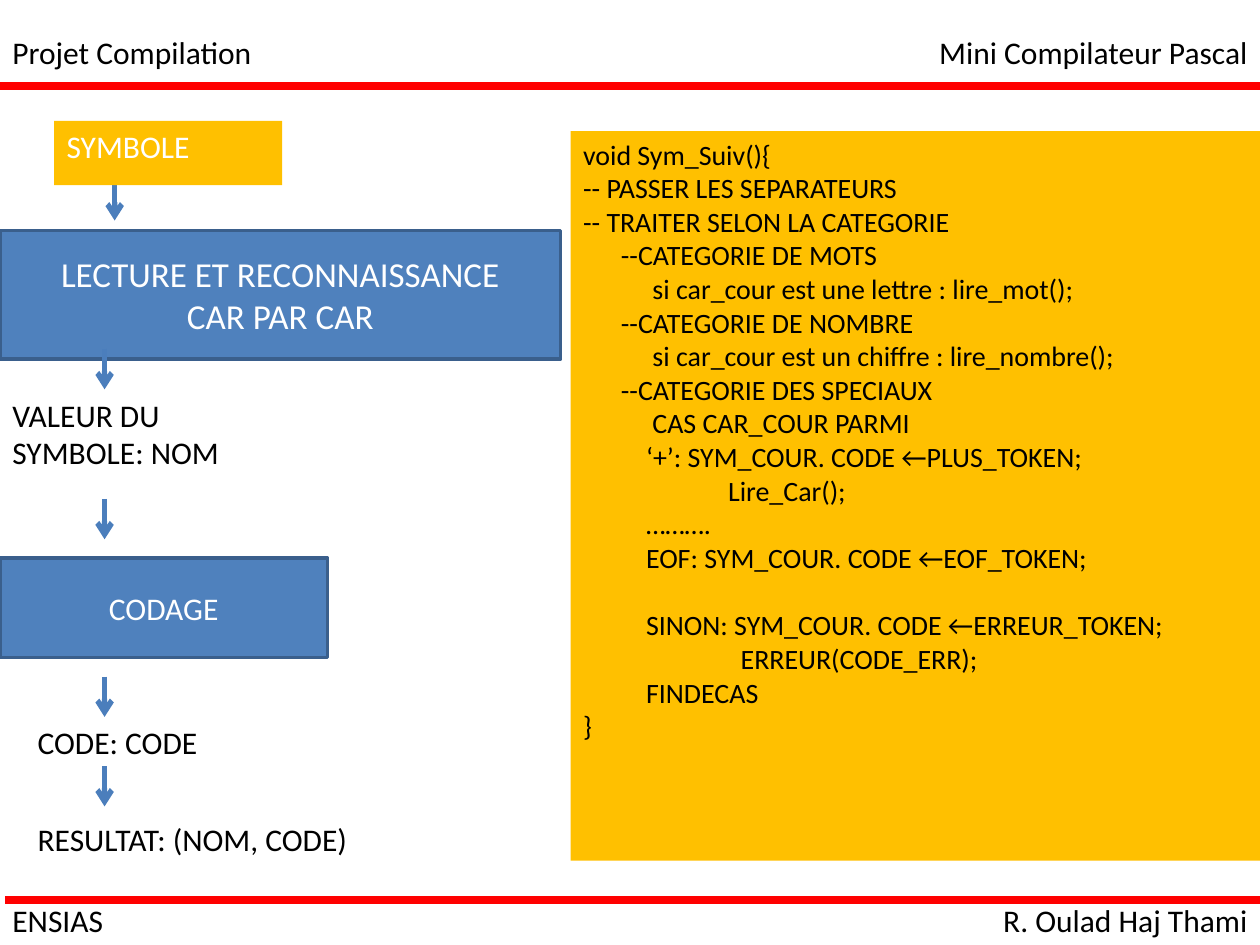
from pptx import Presentation
from pptx.util import Inches, Pt
from pptx.dml.color import RGBColor
from pptx.enum.shapes import MSO_SHAPE as Shape, MSO_CONNECTOR as Link
from pptx.enum.text import PP_ALIGN as Align, MSO_ANCHOR as Anchor
from pptx.oxml.ns import qn
from lxml.etree import SubElement

BLACK = RGBColor(0, 0, 0)
WHITE = RGBColor(255, 255, 255)
RED = RGBColor(255, 0, 0)
GOLD = RGBColor(0xFF, 0xC0, 0x00)
BLUE = RGBColor(0x4F, 0x81, 0xBD)
EDGE = RGBColor(0x3A, 0x5F, 0x8C)
ARROW = RGBColor(0x4B, 0x7E, 0xBC)

WIDE, HIGH = 10, 7.5
ROW = 0.4
DROP = 0.32

HEAD = [("Projet Compilation", 2.12), ("Mini Compilateur Pascal", 2.68)]
FOOT = [("ENSIAS", 0.93), ("R. Oulad Haj Thami", 2.16)]
BANDS = [(HEAD, 0.21), (FOOT, 7.1)]
RULES = [(0, 0.68), (0.04, 7.14)]

STEPS = [
    (["LECTURE ET RECONNAISSANCE", "CAR PAR CAR"], (0, 1.83, 4.45, 1.02), 20),
    (["CODAGE"], (0, 4.43, 2.6, 0.79), 18),
]
LABELS = [
    (["VALEUR DU", "SYMBOLE: NOM"], (0, 3.09, 2.13, 0.71)),
    (["CODE: CODE"], (0.2, 5.69, 1.48, ROW)),
    (["RESULTAT: (NOM, CODE)"], (0.2, 6.46, 2.75, ROW)),
]
DROPS = [(0.91, 1.43), (0.83, 2.77), (0.83, 3.96), (0.83, 5.37), (0.83, 6.08)]

CODE = [
    "void Sym_Suiv(){",
    "-- PASSER LES SEPARATEURS",
    "-- TRAITER SELON LA CATEGORIE",
    "      --CATEGORIE DE MOTS",
    "           si car_cour est une lettre : lire_mot();",
    "      --CATEGORIE DE NOMBRE",
    "           si car_cour est un chiffre : lire_nombre();",
    "      --CATEGORIE DES SPECIAUX",
    "           CAS CAR_COUR PARMI",
    "\t‘+’: SYM_COUR. CODE ←PLUS_TOKEN;",
    "                       Lire_Car();",
    "\t……….",
    "\tEOF: SYM_COUR. CODE ←EOF_TOKEN;",
    "\tSINON: SYM_COUR. CODE ←ERREUR_TOKEN;",
    "\t               ERREUR(CODE_ERR);",
    "          FINDECAS",
    "}",
]
GAPS = {13: 19.5}

deck = Presentation()
deck.slide_width, deck.slide_height = Inches(WIDE), Inches(HIGH)
slide = deck.slides.add_slide(deck.slide_layouts[6])
shapes = slide.shapes


def write(lines, area, size=18, color=BLACK, fill=None, edge=None,
          align=Align.LEFT, anchor=Anchor.TOP, wrap=False, gaps={}):
    place = [Inches(n) for n in area]
    if fill is None:
        box = shapes.add_textbox(*place)
    else:
        box = shapes.add_shape(Shape.RECTANGLE, *place)
        box.shadow.inherit = False
        box.fill.solid()
        box.fill.fore_color.rgb = fill
        if edge is None:
            box.line.fill.background()
        else:
            box.line.color.rgb = edge
            box.line.width = Pt(2)
    frame = box.text_frame
    frame.word_wrap = wrap
    frame.vertical_anchor = anchor
    for i, line in enumerate(lines):
        para = frame.paragraphs[0] if i == 0 else frame.add_paragraph()
        para.alignment = align
        if i in gaps:
            para.space_before = Pt(gaps[i])
        run = para.add_run()
        run.text = line
        run.font.name = "Calibri"
        run.font.size = Pt(size)
        run.font.color.rgb = color


def draw(x, y, dx, dy, color, width, tip=False):
    line = shapes.add_connector(Link.STRAIGHT, Inches(x), Inches(y),
                                Inches(x + dx), Inches(y + dy))
    line.line.color.rgb = color
    line.line.width = Pt(width)
    if tip:
        SubElement(line.line._get_or_add_ln(), qn("a:tailEnd"), type="arrow")
    SubElement(line._element.spPr, qn("a:effectLst"))


for lines, area, size in STEPS:
    write(lines, area, size=size, color=WHITE, fill=BLUE, edge=EDGE,
          align=Align.CENTER, anchor=Anchor.MIDDLE, wrap=True)
for lines, area in LABELS:
    write(lines, area)
for x, y in DROPS:
    draw(x, y, 0, DROP, ARROW, 3, tip=True)

write(["SYMBOLE"], (0.43, 0.96, 1.81, 0.51), color=WHITE, fill=GOLD, wrap=True)
write(CODE, (4.53, 1.04, 5.47, 5.79), size=16, fill=GOLD, wrap=True, gaps=GAPS)

for x, y in RULES:
    draw(x, y, WIDE, 0, RED, 4.5)
for (left, right), y in BANDS:
    write([left[0]], (0, y, left[1], ROW))
    write([right[0]], (WIDE - right[1], y, right[1], ROW), align=Align.RIGHT)

deck.save("out.pptx")
